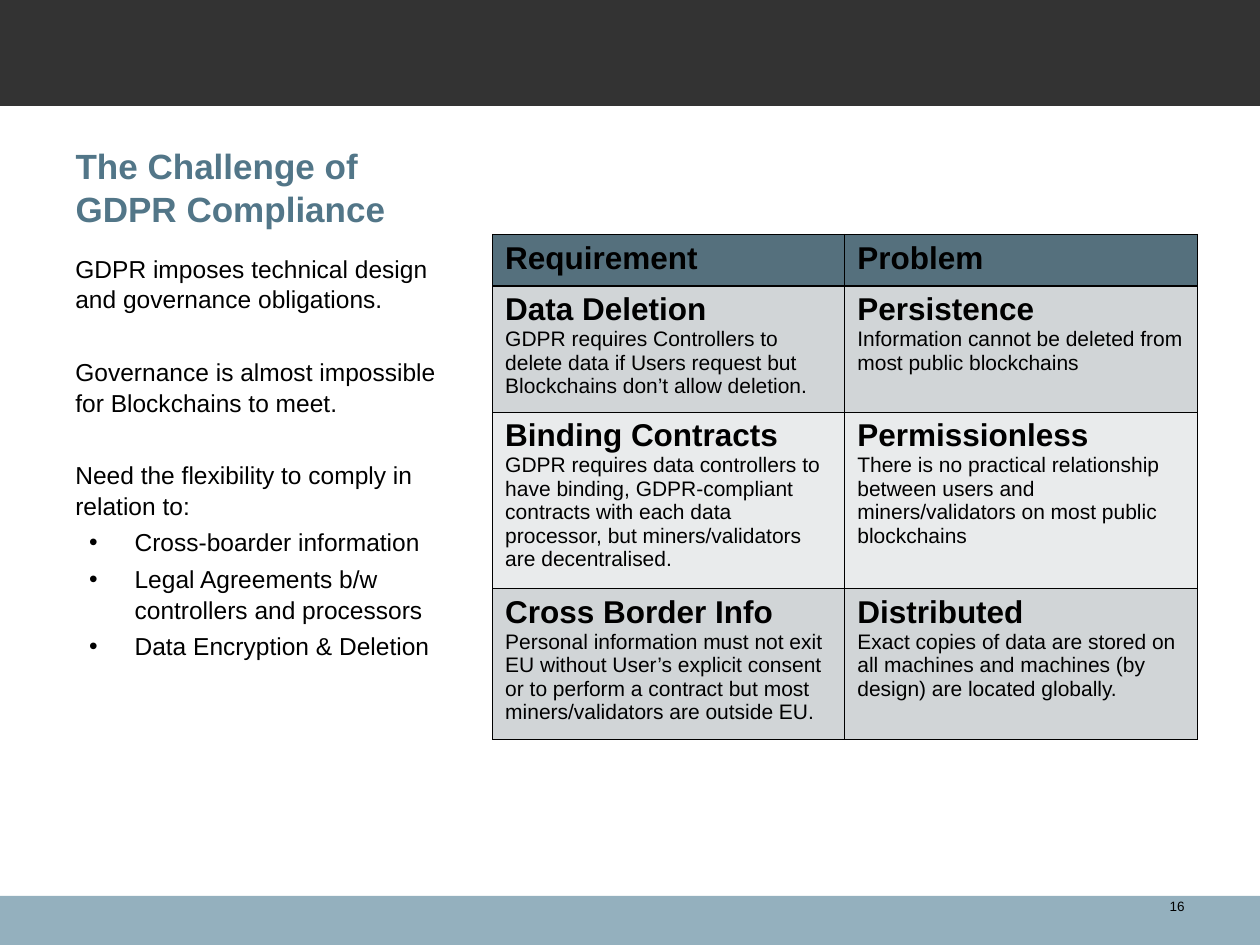
from dataclasses import dataclass

from lxml import etree
from pptx import Presentation
from pptx import util as u
from pptx.dml.color import RGBColor
from pptx.enum import shapes, text
from pptx.oxml.ns import qn

WIDTH, HEIGHT = u.Inches(10), u.Inches(7.5)
BLACK = RGBColor(0x00, 0x00, 0x00)
CHARCOAL = RGBColor(0x33, 0x33, 0x33)
MIST = RGBColor(0x94, 0xB0, 0xBE)
STEEL = RGBColor(0x52, 0x76, 0x88)
HEADER = RGBColor(0x55, 0x70, 0x7D)
ROW_DARK = RGBColor(0xD1, 0xD5, 0xD7)
ROW_LIGHT = RGBColor(0xE9, 0xEB, 0xEC)

LEFT_MARGIN = 0.05
COLUMN_WIDTH = 0.33
HAIRLINE, HEADER_RULE = 0.45, 1.47


@dataclass(frozen=True)
class Area:
    left: float
    top: float
    width: float
    height: float

    def box(self) -> tuple[int, int, int, int]:
        return (int(self.left * WIDTH), int(self.top * HEIGHT),
                int(self.width * WIDTH), int(self.height * HEIGHT))


@dataclass(frozen=True)
class Entry:
    heading: str
    detail: str = ""


@dataclass(frozen=True)
class TableRow:
    requirement: Entry
    problem: Entry
    height: float


@dataclass(frozen=True)
class Point:
    wording: str
    before: float = 3.5
    bullet: bool = False


HEADER_BAND = Area(0, 0, 1, 0.112)
FOOTER_BAND = Area(0, 0.948, 1, 0.052)
TITLE = Area(LEFT_MARGIN, 0.08, COLUMN_WIDTH, 0.17)
BODY = Area(LEFT_MARGIN, 0.261, COLUMN_WIDTH, 0.684)
TABLE = Area(0.391, 0.248, 0.559, 0.535)
PAGE_NUMBER = Area(0.886, 0.944, 0.064, 0.032)

PARAGRAPH_GAP = 24
POINTS = [
    Point("GDPR imposes technical design and governance obligations.", 0),
    Point("Governance is almost impossible for Blockchains to meet.", PARAGRAPH_GAP),
    Point("Need the flexibility to comply in relation to:", PARAGRAPH_GAP),
    Point("Cross-boarder information", bullet=True),
    Point("Legal Agreements b/w controllers and processors", bullet=True),
    Point("Data Encryption & Deletion", bullet=True),
]

ROWS = [
    TableRow(Entry("Requirement"), Entry("Problem"), 0.41),
    TableRow(
        Entry("Data Deletion", "GDPR requires Controllers to delete data if Users "
              "request but Blockchains don’t allow deletion."),
        Entry("Persistence", "Information cannot be deleted from most public blockchains"),
        1),
    TableRow(
        Entry("Binding Contracts", "GDPR requires data controllers to have binding, "
              "GDPR-compliant contracts with each data processor, but "
              "miners/validators are decentralised."),
        Entry("Permissionless", "There is no practical relationship between users and "
              "miners/validators on most public blockchains"),
        1.4),
    TableRow(
        Entry("Cross Border Info", "Personal information must not exit EU without User’s "
              "explicit consent or to perform a contract but most "
              "miners/validators are outside EU."),
        Entry("Distributed", "Exact copies of data are stored on all machines and "
              "machines (by design) are located globally."),
        1.2),
]


def write(frame, wording: str, *, size: float, color=BLACK, bold=False,
          align=text.PP_ALIGN.LEFT, before=0.0, spacing=1.0, bullet=False) -> None:
    paragraph = frame.paragraphs[0]
    if paragraph.runs:
        paragraph = frame.add_paragraph()
    if bullet:
        properties = paragraph._p.get_or_add_pPr()
        properties.set("marL", str(u.Inches(0.47)))
        properties.set("indent", str(u.Inches(-0.36)))
        etree.SubElement(properties, qn("a:buFont")).set("typeface", "Arial")
        etree.SubElement(properties, qn("a:buChar")).set("char", "•")
    paragraph.alignment = align
    paragraph.space_before = u.Pt(before)
    paragraph.line_spacing = spacing
    run = paragraph.add_run()
    run.text = wording
    run.font.name = "Arial"
    run.font.size = u.Pt(size)
    run.font.bold = bold
    run.font.color.rgb = color


def draw_band(slide, area: Area, color: RGBColor) -> None:
    band = slide.shapes.add_shape(shapes.MSO_SHAPE.RECTANGLE, *area.box())
    band.shadow.inherit = False
    band.fill.solid()
    band.fill.fore_color.rgb = color
    band.line.fill.background()


def draw_title(slide, wording: str) -> None:
    title = slide.shapes.title
    title.left, title.top, title.width, title.height = TITLE.box()
    frame = title.text_frame
    frame.word_wrap = True
    frame.auto_size = text.MSO_AUTO_SIZE.NONE
    frame.vertical_anchor = text.MSO_ANCHOR.BOTTOM
    write(frame, wording, size=20, color=STEEL, bold=True, spacing=1.04)


def add_text_frame(slide, area: Area):
    frame = slide.shapes.add_textbox(*area.box()).text_frame
    frame.word_wrap = True
    return frame


def set_borders(cell, **widths: float) -> None:
    properties = cell._tc.get_or_add_tcPr()
    for position, side in enumerate(("L", "R", "T", "B")):
        line = etree.Element(qn(f"a:ln{side}"), w=str(u.Pt(widths.get(side, HAIRLINE))))
        fill = etree.SubElement(line, qn("a:solidFill"))
        etree.SubElement(fill, qn("a:srgbClr")).set("val", str(BLACK))
        properties.insert(position, line)


def draw_table(slide, rows: list[TableRow]) -> None:
    table = slide.shapes.add_table(len(rows), 2, *TABLE.box()).table
    for index, row in enumerate(rows):
        table.rows[index].height = u.Inches(row.height)
        for column, entry in enumerate((row.requirement, row.problem)):
            cell = table.cell(index, column)
            cell.fill.solid()
            cell.fill.fore_color.rgb = (
                HEADER if index == 0 else ROW_DARK if index % 2 else ROW_LIGHT)
            write(cell.text_frame, entry.heading, size=18, bold=True)
            if entry.detail:
                write(cell.text_frame, entry.detail, size=12)
            set_borders(cell, T=HEADER_RULE if index == 1 else HAIRLINE,
                        B=HEADER_RULE if index == 0 else HAIRLINE)


def main() -> None:
    presentation = Presentation()
    presentation.slide_width, presentation.slide_height = WIDTH, HEIGHT
    slide = presentation.slides.add_slide(presentation.slide_layouts[5])
    draw_band(slide, FOOTER_BAND, MIST)
    draw_band(slide, HEADER_BAND, CHARCOAL)
    draw_title(slide, "The Challenge of GDPR Compliance")
    draw_table(slide, ROWS)
    body = add_text_frame(slide, BODY)
    for point in POINTS:
        write(body, point.wording, size=14, before=point.before,
              spacing=1.04, bullet=point.bullet)
    write(add_text_frame(slide, PAGE_NUMBER), "16", size=7.7,
          align=text.PP_ALIGN.RIGHT)
    presentation.save("out.pptx")


if __name__ == "__main__":
    main()
